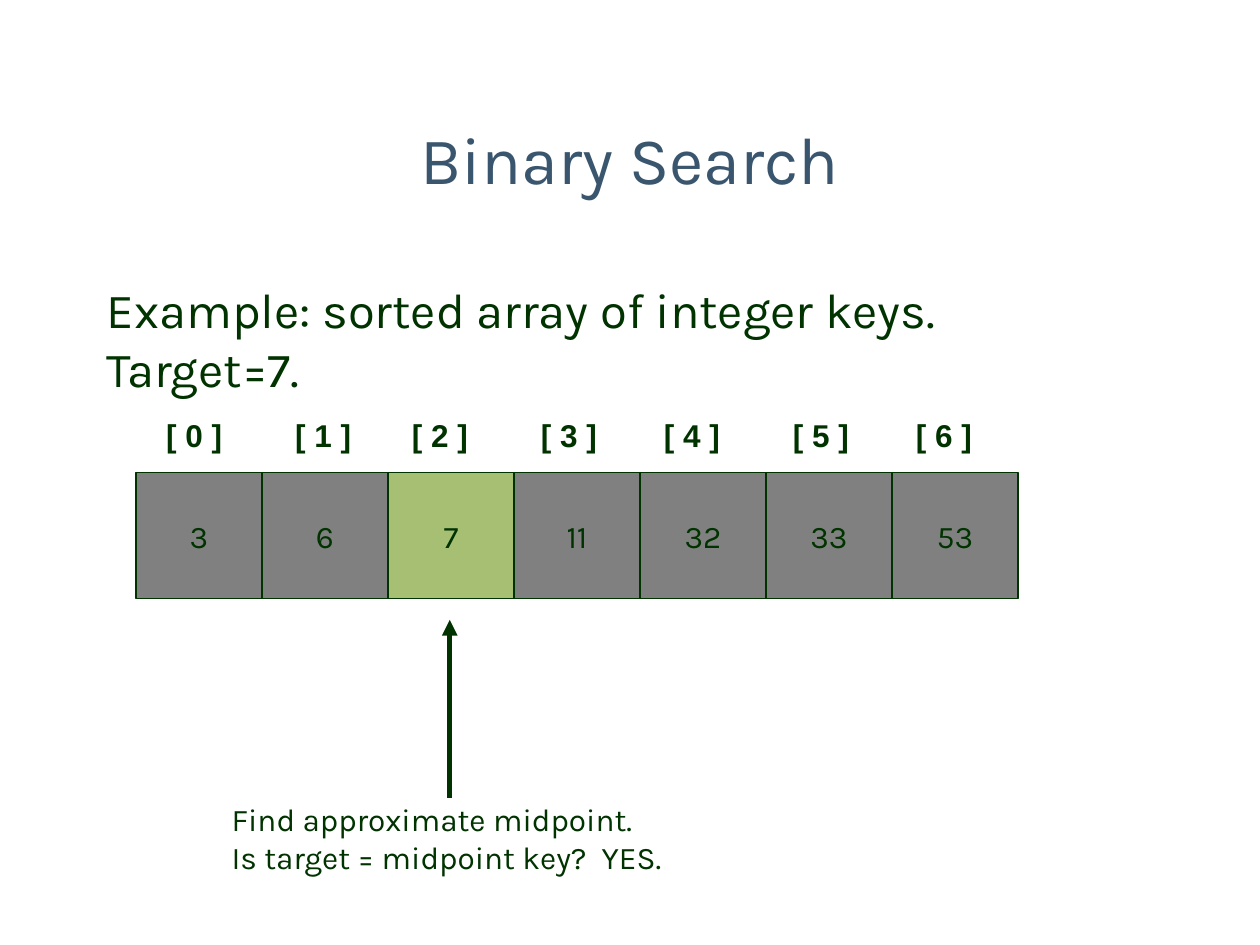
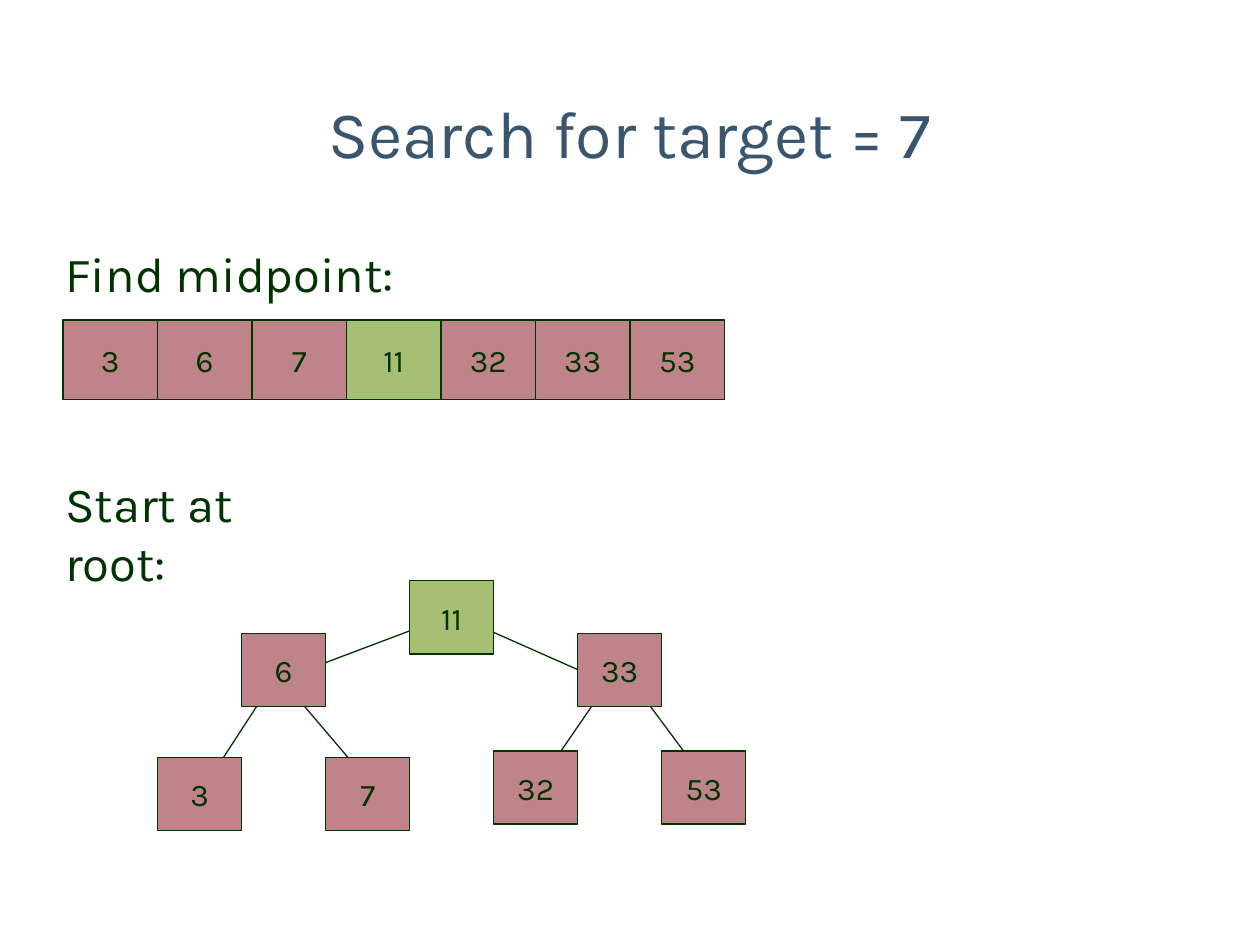
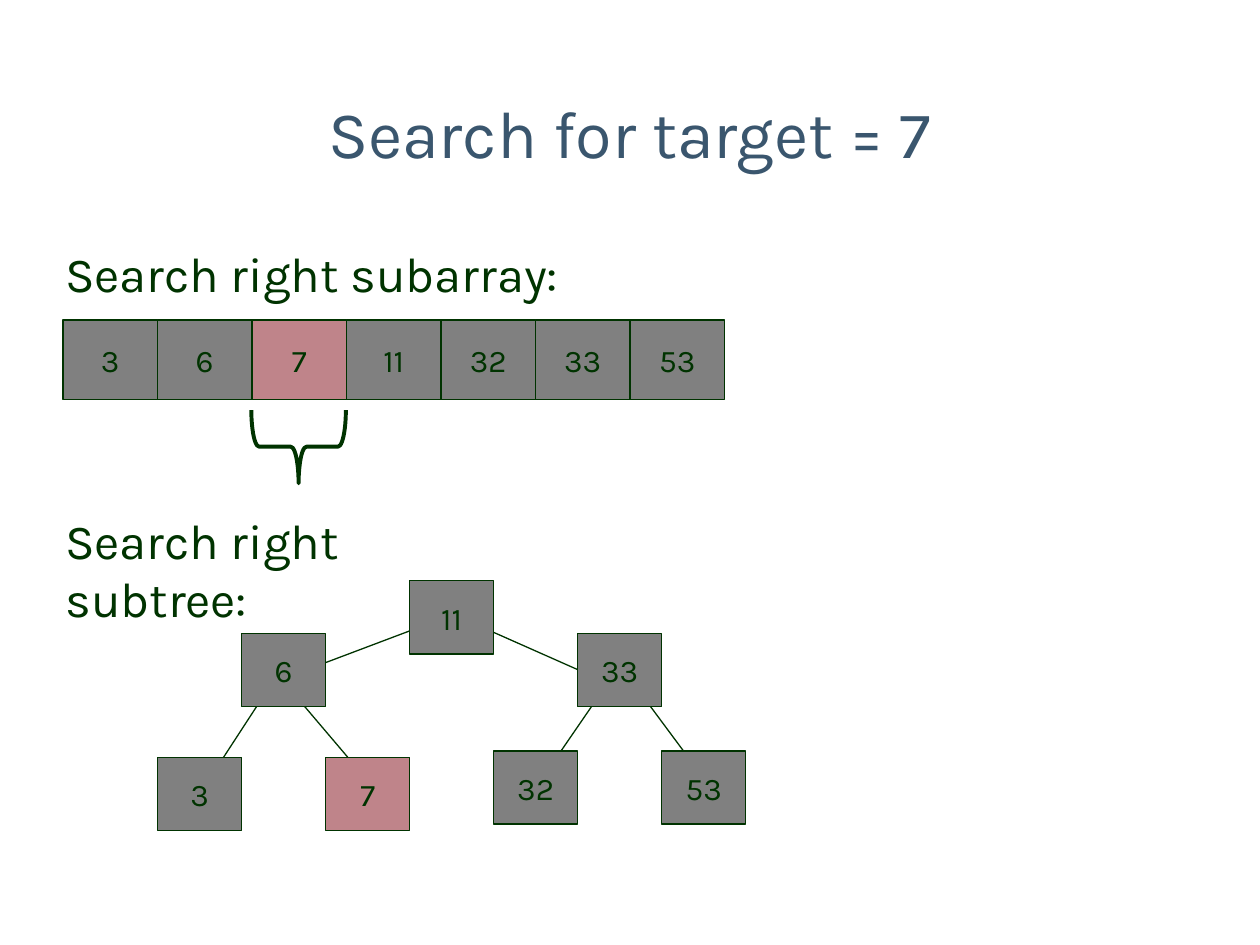
from dataclasses import dataclass

from lxml import etree
from pptx import Presentation
from pptx.dml.color import RGBColor
from pptx.enum.shapes import MSO_CONNECTOR, MSO_SHAPE
from pptx.enum.text import MSO_ANCHOR, PP_ALIGN
from pptx.oxml.ns import qn
from pptx.util import Inches, Pt

LEFT, CENTER = PP_ALIGN.LEFT, PP_ALIGN.CENTER
TOP, MIDDLE = MSO_ANCHOR.TOP, MSO_ANCHOR.MIDDLE
RECTANGLE, LEFT_BRACE = MSO_SHAPE.RECTANGLE, MSO_SHAPE.LEFT_BRACE
STRAIGHT = MSO_CONNECTOR.STRAIGHT

# Shared style
INK, TITLE_BLUE = "003300", "3A566E"
GRAY, GREEN, ROSE = "808080", "A6BF73", "BF848A"
BODY_FONT, INDEX_FONT = "Karla", "Arial"
TITLE_SIZE, BODY_SIZE, SMALL_SIZE = 38, 28, 18
THIN = 0.75
KEYS = (3, 6, 7, 11, 32, 33, 53)


@dataclass(frozen=True)
class Area:
    left: float
    top: float
    width: float
    height: float

    def lengths(self):
        return [Inches(value) for value in (self.left, self.top, self.width, self.height)]


@dataclass(frozen=True)
class TextStyle:
    size: float = BODY_SIZE
    color: str = INK
    font: str = BODY_FONT
    bold: bool = False
    align: PP_ALIGN = LEFT
    anchor: MSO_ANCHOR = TOP


@dataclass(frozen=True)
class Edge:
    start: tuple[float, float]
    end: tuple[float, float]


@dataclass(frozen=True)
class Coloring:
    base: str
    marked_key: int
    marked: str

    def fill_for(self, key: int) -> str:
        return self.marked if key == self.marked_key else self.base


TITLE = TextStyle(TITLE_SIZE, TITLE_BLUE, align=CENTER, anchor=MIDDLE)
BODY = TextStyle()
NOTE = TextStyle(SMALL_SIZE)
KEY = TextStyle(SMALL_SIZE, align=CENTER, anchor=MIDDLE)
INDEX_LEFT = TextStyle(SMALL_SIZE, font=INDEX_FONT, bold=True)
INDEX_CENTER = TextStyle(SMALL_SIZE, font=INDEX_FONT, bold=True, align=CENTER)

# Array cells and tree nodes
WIDE_ROW = Area(1.08, 3.75, 1, 1)
SMALL_ROW = Area(0.5, 2.54, 0.75, 0.63)
INDEX_LEFTS = (1.22, 2.17, 3.17, 4.12, 5.17, 6.12, 7.17)
NODE_LEFT, NODE_STEP = 1.25, 2 / 3
NODE_WIDTH, NODE_HEIGHT = 0.67, 0.58
NODE_TOPS = (6.01, 5.03, 6.01, 4.61, 5.96, 5.03, 5.96)
EDGES = (
    Edge((3.43, 4.94), (2.37, 5.34)),
    Edge((3.74, 4.94), (4.8, 5.41)),
    Edge((2.12, 5.48), (1.69, 6.14)),
    Edge((2.31, 5.48), (2.93, 6.21)),
    Edge((4.92, 5.28), (4.24, 6.27)),
    Edge((4.92, 5.28), (5.61, 6.21)),
)


def rgb(color: str) -> RGBColor:
    return RGBColor.from_string(color)


def write(shape, text: str, style: TextStyle, wrap: bool = True) -> None:
    frame = shape.text_frame
    frame.word_wrap = wrap
    frame.vertical_anchor = style.anchor
    frame.text = text
    for paragraph in frame.paragraphs:
        paragraph.alignment = style.align
        font = paragraph.font
        font.name, font.size, font.bold = style.font, Pt(style.size), style.bold
        font.color.rgb = rgb(style.color)


def add_text(page, area: Area, text: str, style: TextStyle) -> None:
    write(page.shapes.add_textbox(*area.lengths()), text, style)


def set_line(item, width: float) -> None:
    item.line.color.rgb = rgb(INK)
    item.line.width = Pt(width)


def add_key(page, area: Area, key: int, fill: str) -> None:
    box = page.shapes.add_shape(RECTANGLE, *area.lengths())
    box.shadow.inherit = False
    box.fill.solid()
    box.fill.fore_color.rgb = rgb(fill)
    set_line(box, THIN)
    write(box, str(key), KEY, wrap=False)


def add_line(page, edge: Edge, width: float = THIN, arrow: bool = False) -> None:
    points = [Inches(value) for value in edge.start + edge.end]
    line = page.shapes.add_connector(STRAIGHT, *points)
    set_line(line, width)
    properties = line._element.spPr
    if arrow:
        outline = properties.find(qn("a:ln"))
        etree.SubElement(outline, qn("a:headEnd"), type="triangle")
    etree.SubElement(properties, qn("a:effectLst"))


def add_array(page, first: Area, coloring: Coloring) -> None:
    for index, key in enumerate(KEYS):
        left = first.left + index * first.width
        cell = Area(left, first.top, first.width, first.height)
        add_key(page, cell, key, coloring.fill_for(key))


def add_tree(page, coloring: Coloring) -> None:
    for edge in EDGES:
        add_line(page, edge)
    # Keys stand in sorted order from left to right
    for index, (key, top) in enumerate(zip(KEYS, NODE_TOPS)):
        node = Area(NODE_LEFT + index * NODE_STEP, top, NODE_WIDTH, NODE_HEIGHT)
        add_key(page, node, key, coloring.fill_for(key))


def add_page(deck):
    return deck.slides.add_slide(deck.slide_layouts[6])


def add_search_page(deck, array_text: str, tree_text: str, tree_area: Area,
                    coloring: Coloring):
    page = add_page(deck)
    add_text(page, Area(0.75, 0.42, 8.5, 1.25), "Search for target = 7", TITLE)
    add_text(page, Area(0.42, 1.88, 6.92, 3.37), array_text, BODY)
    add_text(page, tree_area, tree_text, BODY)
    add_array(page, SMALL_ROW, coloring)
    add_tree(page, coloring)
    return page


deck = Presentation()
deck.slide_width, deck.slide_height = Inches(10), Inches(7.5)

# Slide 1: the target is found in the array
page = add_page(deck)
add_text(page, Area(0.5, 0.63, 9, 1.25), "Binary Search", TITLE)
add_text(page, Area(0.75, 2.17, 7.85, 3.37),
         "Example: sorted array of integer keys.  Target=7.", BODY)
add_array(page, WIDE_ROW, Coloring(GRAY, 7, GREEN))
for index, left in enumerate(INDEX_LEFTS):
    style = INDEX_CENTER if index % 2 else INDEX_LEFT
    add_text(page, Area(left, 3.25, 0.79, 0.49), f"[ {index} ]", style)
add_line(page, Edge((3.57, 4.92), (3.57, 6.33)), width=3, arrow=True)
add_text(page, Area(1.74, 6.3, 4.43, 0.9),
         "Find approximate midpoint.\nIs target = midpoint key?  YES.", NOTE)

# Slide 2: the search starts at the midpoint and at the root
add_search_page(deck, "Find midpoint:", "Start at root:",
                Area(0.42, 3.71, 2.14, 3.37), Coloring(ROSE, 11, GREEN))

# Slide 3: one key is left
page = add_search_page(deck, "Search right subarray:", "Search right subtree:",
                       Area(0.42, 4, 3.42, 3.37), Coloring(GRAY, 7, ROSE))
brace = page.shapes.add_shape(LEFT_BRACE, *Area(2.08, 3.17, 0.58, 0.75).lengths())
brace.rotation = 270
brace.adjustments[0] = 0.107
brace.shadow.inherit = False
brace.fill.background()
set_line(brace, 2.25)

deck.save("out.pptx")
